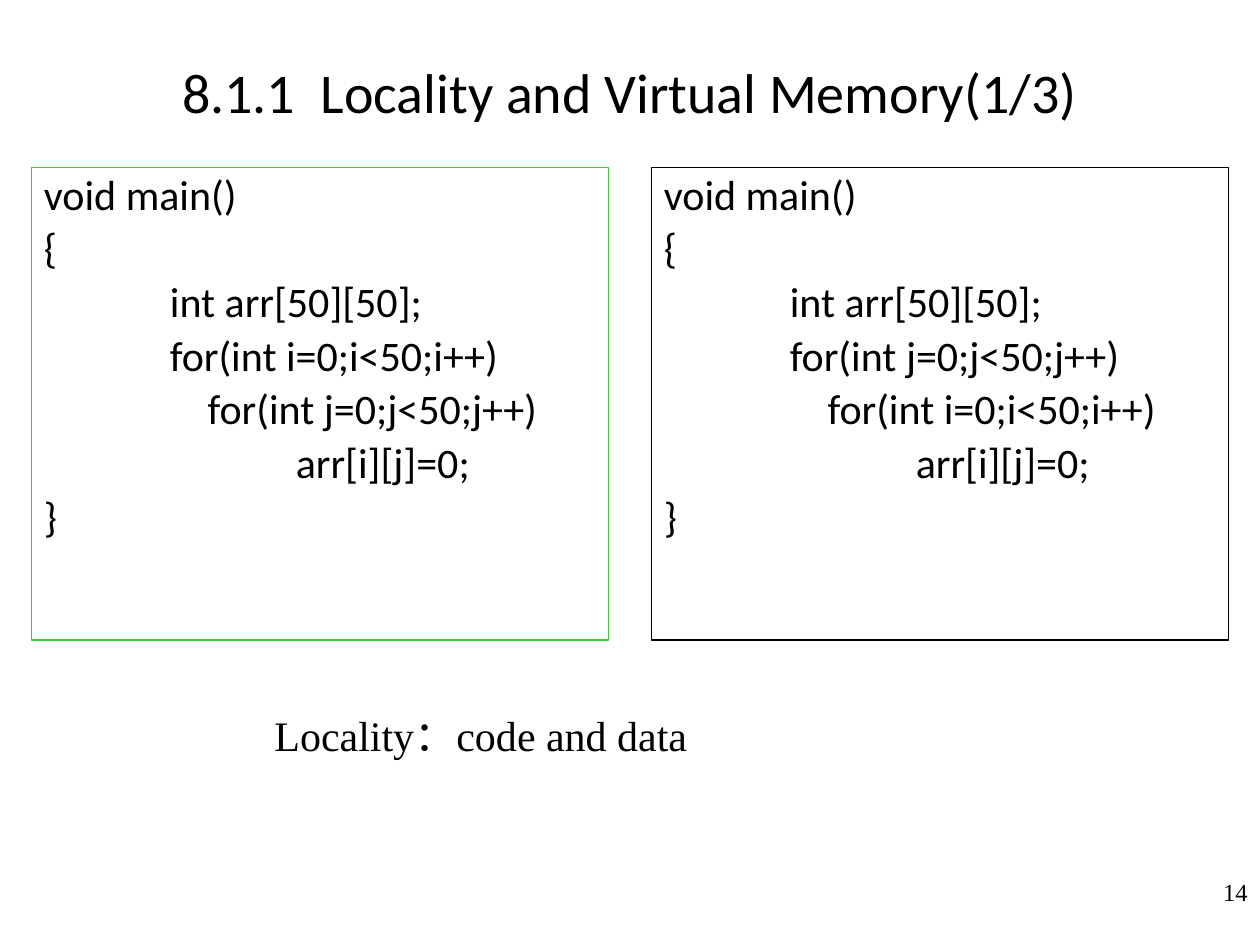
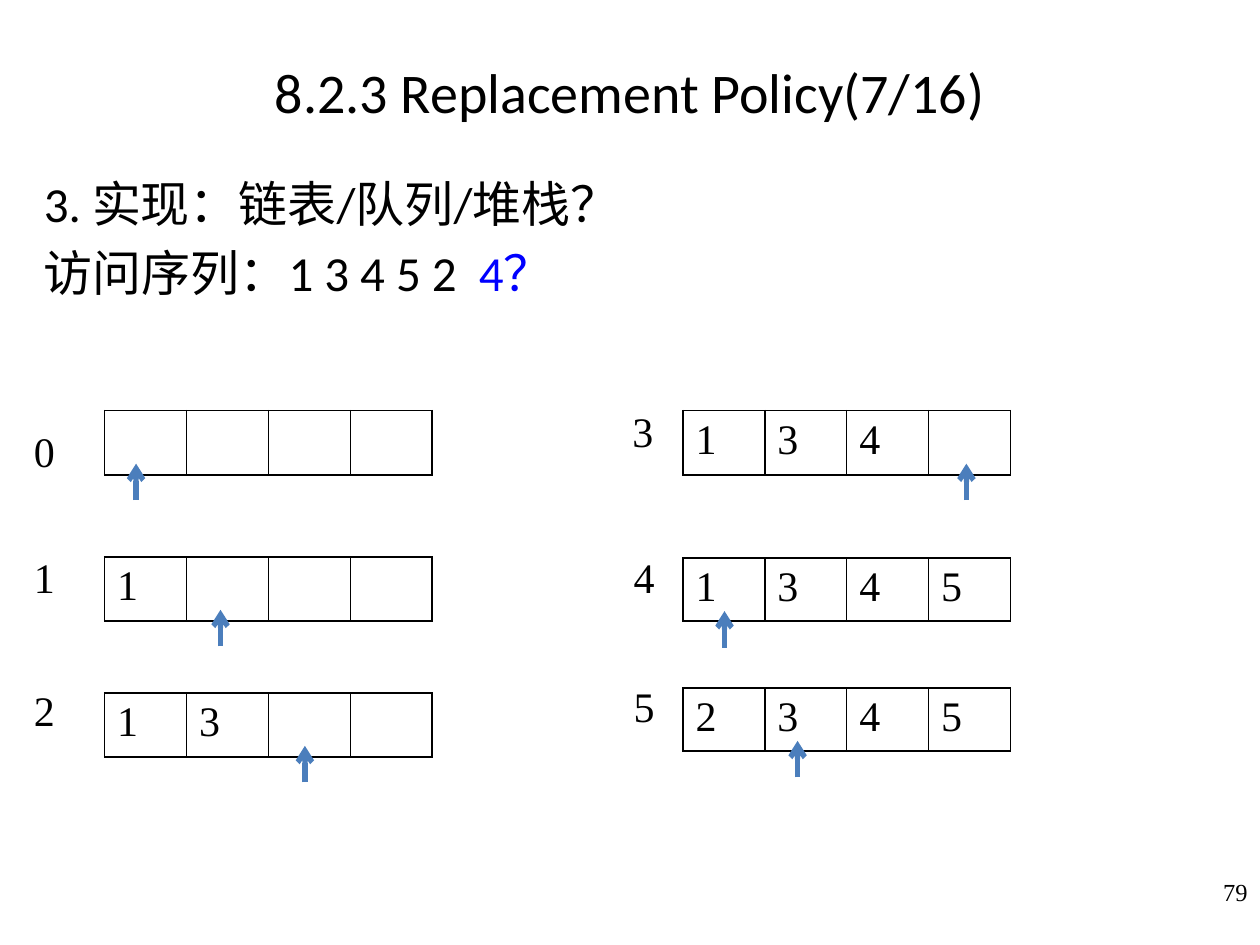
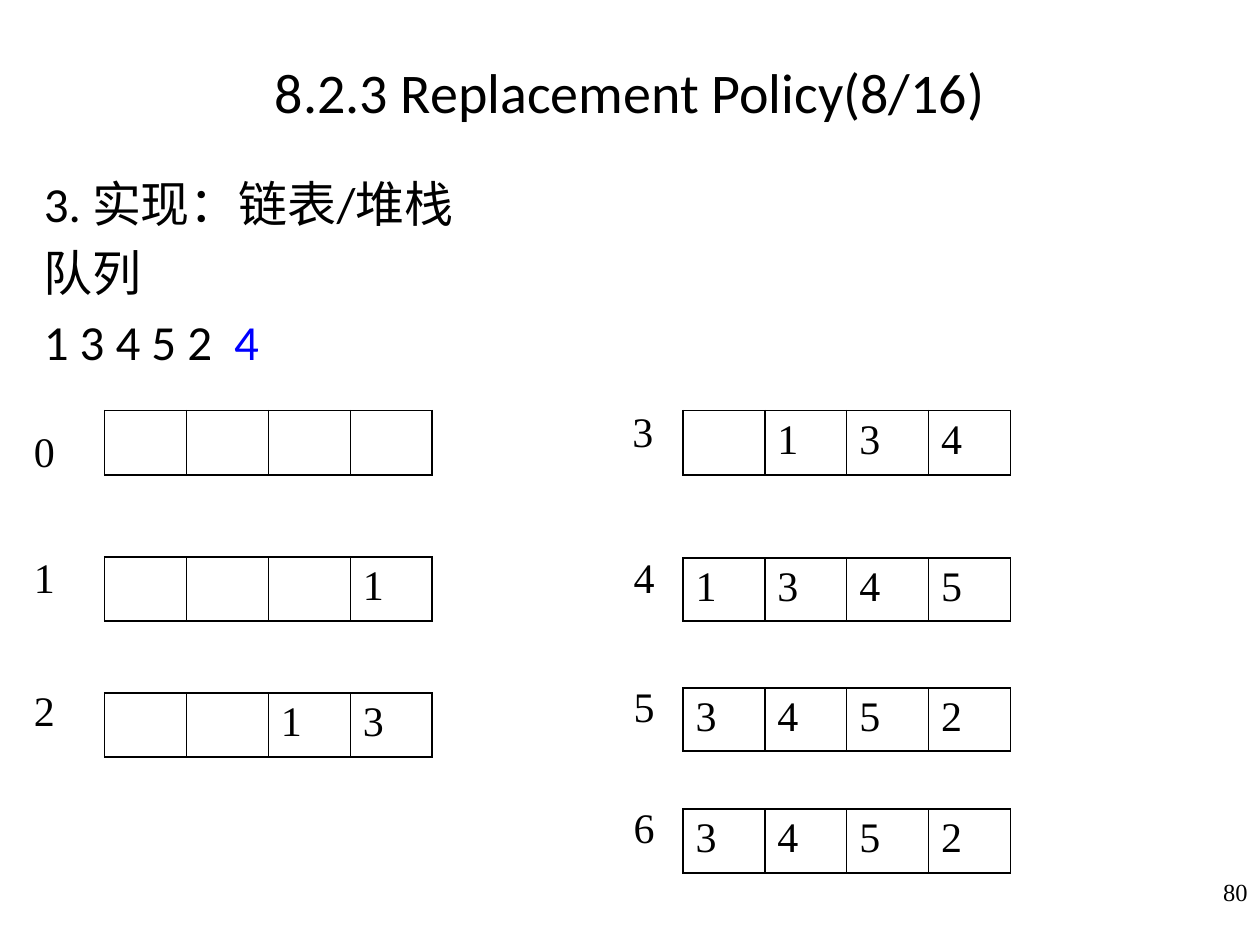
from lxml import etree
from pptx import Presentation
from pptx import util as u
from pptx.dml.color import RGBColor
from pptx.enum import shapes, text
from pptx.oxml import ns

BLACK = RGBColor(0x00, 0x00, 0x00)
BLUE = RGBColor(0x00, 0x00, 0xFF)
GREEN = RGBColor(0x33, 0xCC, 0x33)
ARROW_BLUE = RGBColor(0x4B, 0x7E, 0xBC)

TITLE_FONT = {"name": "Calibri", "size": u.Pt(32)}
BODY_FONT = {"name": "Calibri", "size": u.Pt(28)}
CODE_FONT = {"name": "Calibri", "size": u.Pt(24)}
SERIF_FONT = {"name": "Times New Roman", "size": u.Pt(24)}
NUMBER_FONT = {"name": "Times New Roman", "size": u.Pt(14)}

TOP = {"word_wrap": True, "vertical_anchor": text.MSO_ANCHOR.TOP}
MIDDLE = {"word_wrap": True, "vertical_anchor": text.MSO_ANCHOR.MIDDLE,
          "auto_size": text.MSO_AUTO_SIZE.NONE}
GROW = {**TOP, "auto_size": text.MSO_AUTO_SIZE.SHAPE_TO_FIT_TEXT}
LEFT = {"alignment": text.PP_ALIGN.LEFT}
RIGHT = {"alignment": text.PP_ALIGN.RIGHT}
CENTER = {"alignment": text.PP_ALIGN.CENTER}
CODE_PARAGRAPH = {**LEFT, "line_spacing": 0.9, "space_before": u.Pt(4.8)}
BODY_PARAGRAPH = {**LEFT, "space_before": u.Pt(5.6)}

CELL_WIDTH = 0.65
FRAME_LEFT, FRAME_RIGHT = 0.83, 5.42
FRAME_ROWS = [
    (FRAME_LEFT, 3.26, 0.51, 0.17, 3.33),
    (FRAME_LEFT, 4.42, 0.51, 0.17, 4.33),
    (FRAME_LEFT, 5.5, 0.51, 0.17, 5.38),
    (FRAME_RIGHT, 3.26, 0.51, 4.92, 3.17),
    (FRAME_RIGHT, 4.43, 0.47, 4.93, 4.33),
    (FRAME_RIGHT, 5.46, 0.47, 4.93, 5.35),
    (FRAME_RIGHT, 6.42, 0.51, 4.93, 6.31),
]


def apply(target, values):
    for name, value in values.items():
        setattr(target, name, value)


def inches(box):
    return [u.Inches(value) for value in box]


def write(frame, paragraphs, font, frame_format, paragraph_format):
    apply(frame, frame_format)
    for index, (indent, hanging, runs) in enumerate(paragraphs):
        paragraph = frame.add_paragraph() if index else frame.paragraphs[0]
        apply(paragraph, paragraph_format)
        if indent:
            properties = paragraph._p.get_or_add_pPr()
            properties.set("marL", str(u.Inches(indent)))
            properties.set("indent", str(u.Inches(-hanging)))
        for words, color in runs:
            run = paragraph.add_run()
            run.text = words
            apply(run.font, font)
            run.font.color.rgb = color


def plain(words):
    return [(0, 0, [(words, BLACK)])]


def add_text(slide, box, paragraphs, font, frame_format=TOP, paragraph_format=LEFT):
    shape = slide.shapes.add_textbox(*inches(box))
    write(shape.text_frame, paragraphs, font, frame_format, paragraph_format)


def add_titled_slide(presentation, title, number):
    slide = presentation.slides.add_slide(presentation.slide_layouts[5])
    placeholder = slide.shapes.title
    position = zip(("left", "top", "width", "height"), inches((0, 0.3, 10, 0.85)))
    apply(placeholder, dict(position))
    write(placeholder.text_frame, plain(title), TITLE_FONT, MIDDLE, CENTER)
    add_text(slide, (7.92, 6.83, 2.08, 0.5), plain(number), NUMBER_FONT, MIDDLE, RIGHT)
    return slide


def add_code_box(slide, box, line_color, outer, inner):
    shape = slide.shapes.add_shape(shapes.MSO_SHAPE.RECTANGLE, *inches(box))
    shape.shadow.inherit = False
    shape.fill.background()
    shape.line.color.rgb = line_color
    shape.line.width = u.Pt(0.75)
    lines = [
        (0, "void main()"),
        (0, "{"),
        (1, "int arr[50][50];"),
        (1, f"for(int {outer}=0;{outer}<50;{outer}++)"),
        (1.3, f"for(int {inner}=0;{inner}<50;{inner}++)"),
        (2, "arr[i][j]=0;"),
        (0, "}"),
    ]
    paragraphs = [(indent, 0, [(line, BLACK)]) for indent, line in lines]
    write(shape.text_frame, paragraphs, CODE_FONT, TOP, CODE_PARAGRAPH)


def add_body(slide, box, lines):
    paragraphs = [(0.38, 0.38, runs) for runs in lines]
    add_text(slide, box, paragraphs, BODY_FONT, TOP, BODY_PARAGRAPH)


def border_cell(cell):
    properties = cell._tc.get_or_add_tcPr()
    for side in ("lnL", "lnR", "lnT", "lnB"):
        line = etree.SubElement(properties, ns.qn(f"a:{side}"), w=str(u.Pt(1)))
        fill = etree.SubElement(line, ns.qn("a:solidFill"))
        etree.SubElement(fill, ns.qn("a:srgbClr"), val=str(BLACK))
    cell.fill.background()


def add_frames(slide, box, pages):
    left, top, height = box
    width = CELL_WIDTH * len(pages)
    table = slide.shapes.add_table(
        1, len(pages), *inches((left, top, width, height))).table
    apply(table, {"first_row": False, "horz_banding": False})
    for column, page in enumerate(pages):
        table.columns[column].width = u.Inches(CELL_WIDTH)
        cell = table.cell(0, column)
        border_cell(cell)
        if page:
            write(cell.text_frame, plain(page), SERIF_FONT, {}, LEFT)


def add_pointer(slide, x, top):
    pointer = slide.shapes.add_connector(
        shapes.MSO_CONNECTOR.STRAIGHT, *inches((x, top + 0.29, x, top)))
    pointer.line.color.rgb = ARROW_BLUE
    pointer.line.width = u.Pt(3)
    etree.SubElement(pointer.line._get_or_add_ln(), ns.qn("a:tailEnd"), type="arrow")
    etree.SubElement(pointer._element.spPr, ns.qn("a:effectLst"))


def add_steps(slide, steps, pointers=()):
    for step, (pages, row) in enumerate(zip(steps, FRAME_ROWS)):
        left, top, height, label_left, label_top = row
        add_frames(slide, (left, top, height), pages)
        add_text(slide, (label_left, label_top, 0.33, 0.5), plain(str(step)),
                 SERIF_FONT, GROW)
    for offset, (left, top, *_) in zip(pointers, FRAME_ROWS):
        add_pointer(slide, left + offset, top + 0.42)


def build_locality(presentation):
    slide = add_titled_slide(presentation, "8.1.1  Locality and Virtual Memory(1/3)", "14")
    add_code_box(slide, (0.25, 1.33, 4.58, 3.75), GREEN, "i", "j")
    add_code_box(slide, (5.17, 1.33, 4.58, 3.75), BLACK, "j", "i")
    add_text(slide, (2.08, 5.58, 4.67, 0.5), plain("Locality：code and data"),
             SERIF_FONT, GROW)


def build_replacement(presentation, title, number, body_height, lines, steps, pointers=()):
    slide = add_titled_slide(presentation, title, number)
    add_body(slide, (0.25, 1.33, 9.33, body_height), lines)
    add_steps(slide, steps, pointers)


def main():
    presentation = Presentation()
    apply(presentation, {"slide_width": u.Inches(10), "slide_height": u.Inches(7.5)})
    build_locality(presentation)
    build_replacement(
        presentation, "8.2.3 Replacement Policy(7/16)", "79", 1.83,
        [[("3. 实现：链表/队列/堆栈？", BLACK)],
         [("访问序列：1 3 4 5 2  ", BLACK), ("4？", BLUE)]],
        [("", "", "", ""), ("1", "", "", ""), ("1", "3", "", ""),
         ("1", "3", "4", ""), ("1", "3", "4", "5"), ("2", "3", "4", "5")],
        (0.25, 0.92, 1.59, 2.25, 0.33, 0.91))
    build_replacement(
        presentation, "8.2.3 Replacement Policy(8/16)", "80", 1.67,
        [[("3. 实现：链表/堆栈", BLACK)],
         [("队列", BLACK)],
         [("1 3 4 5 2  ", BLACK), ("4", BLUE)]],
        [("", "", "", ""), ("", "", "", "1"), ("", "", "1", "3"),
         ("", "1", "3", "4"), ("1", "3", "4", "5"), ("3", "4", "5", "2"),
         ("3", "4", "5", "2")])
    presentation.save("out.pptx")


if __name__ == "__main__":
    main()
